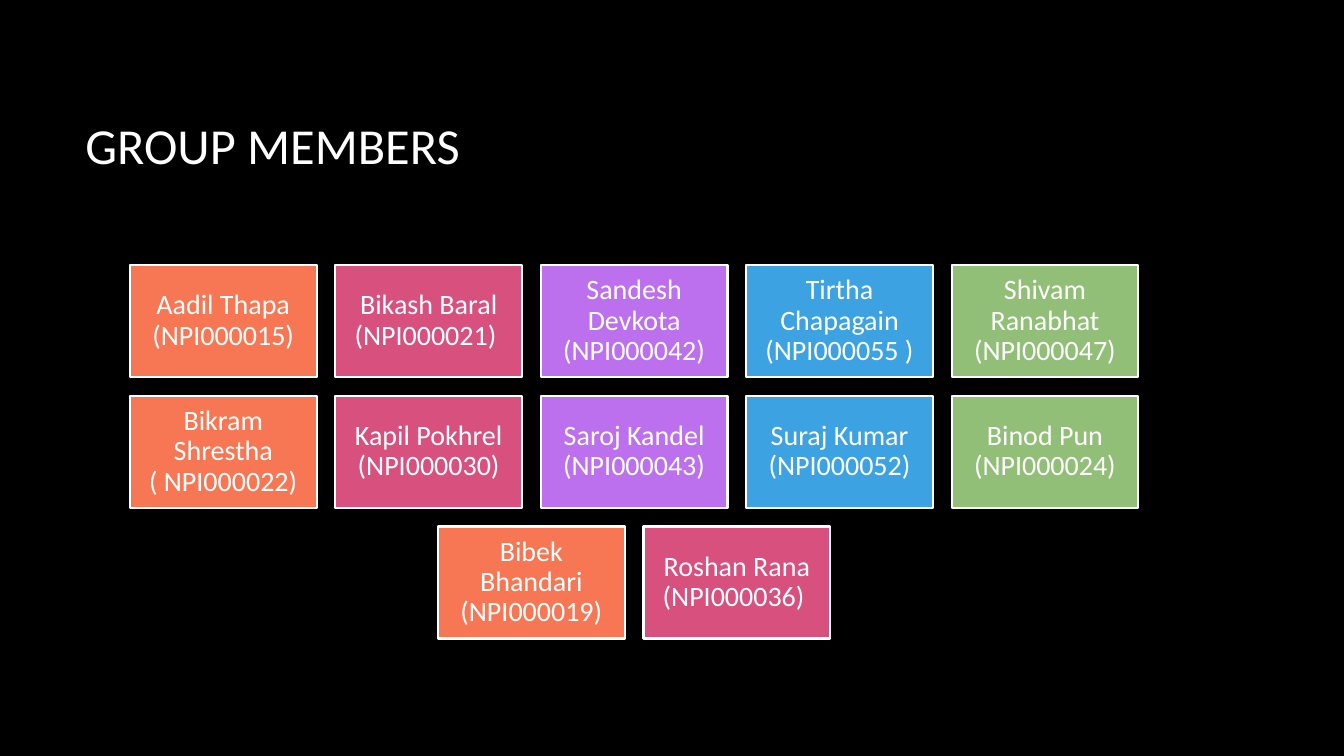
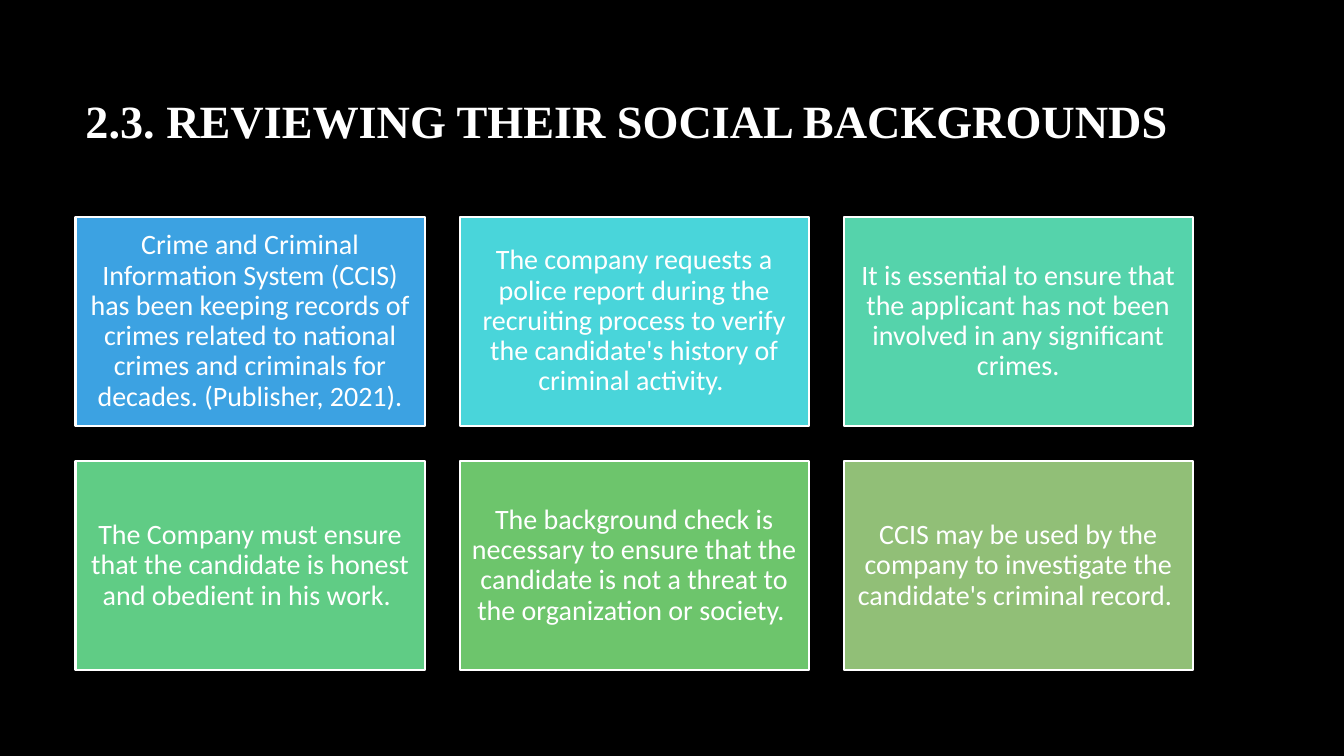
"""Build two slides of coloured card grids under a title on black."""
from pptx import Presentation
from pptx.dml.color import RGBColor
from pptx.enum.shapes import MSO_SHAPE
from pptx.enum.text import MSO_ANCHOR, PP_ALIGN
from pptx.util import Pt

RECTANGLE = MSO_SHAPE.RECTANGLE
MIDDLE = MSO_ANCHOR.MIDDLE
CENTER = PP_ALIGN.CENTER

BLACK, WHITE = "000000", "FFFFFF"
ORANGE, PINK, PURPLE = "F77754", "D8507E", "BC70EE"
BLUE, CYAN, TEAL = "3CA2E2", "49D5DA", "55D3AB"
MINT, GREEN, OLIVE = "60CC85", "6DC56C", "91BF77"
BODY_FONT = "Calibri"
HEADING_FONT = "Times New Roman"

CONTENT_LEFT, CONTENT_WIDTH = 54, 798
TITLE_TOP = 48
GAP_RATIO, HEIGHT_RATIO = 0.1, 0.6

MEMBER_COLORS = [ORANGE, PINK, PURPLE, BLUE, OLIVE]
MEMBERS = [
    "Aadil Thapa (NPI000015)",
    "Bikash Baral (NPI000021) ",
    "Sandesh Devkota (NPI000042)",
    "Tirtha Chapagain (NPI000055 )",
    "Shivam Ranabhat (NPI000047)",
    "Bikram Shrestha ( NPI000022)",
    "Kapil Pokhrel (NPI000030)",
    "Saroj Kandel (NPI000043)",
    "Suraj Kumar (NPI000052)",
    "Binod Pun (NPI000024)",
    "Bibek Bhandari (NPI000019)",
    "Roshan Rana (NPI000036) ",
]
BACKGROUND_COLORS = [BLUE, CYAN, TEAL, MINT, GREEN, OLIVE]
BACKGROUND_CHECKS = [
    "Crime and Criminal Information System (CCIS) has been keeping records of "
    "crimes related to national crimes and criminals for decades. (Publisher, 2021).",
    "The company requests a police report during the recruiting process to verify "
    "the candidate's history of criminal activity. ",
    "It is essential to ensure that the applicant has not been involved in any "
    "significant crimes.",
    "The Company must ensure that the candidate is honest and obedient in his work. ",
    "The background check is necessary to ensure that the candidate is not a threat "
    "to the organization or society. ",
    "CCIS may be used by the company to investigate the candidate's criminal record. ",
]


def color(value):
    """Return the colour for a hex string."""
    return RGBColor.from_string(value)


def write(text_frame, text, size, font_name=BODY_FONT, bold=False):
    """Fill a text frame with one white paragraph, centred vertically."""
    text_frame.text = text
    text_frame.word_wrap = True
    text_frame.vertical_anchor = MIDDLE
    paragraph = text_frame.paragraphs[0]
    paragraph.line_spacing = 0.9
    font = paragraph.runs[0].font
    font.name, font.size, font.bold = font_name, Pt(size), bold
    font.color.rgb = color(WHITE)
    return paragraph


def add_title(slide, text, height, size, font_name=BODY_FONT, bold=False):
    """Add the slide title."""
    box = slide.shapes.add_textbox(
        Pt(CONTENT_LEFT), Pt(TITLE_TOP), Pt(CONTENT_WIDTH), Pt(height))
    write(box.text_frame, text, size, font_name, bold)


def add_card(slide, text, fill, left, top, width, height):
    """Add one filled card with a white outline and centred text."""
    card = slide.shapes.add_shape(RECTANGLE, Pt(left), Pt(top), Pt(width), Pt(height))
    card.shadow.inherit = False
    card.fill.solid()
    card.fill.fore_color.rgb = color(fill)
    card.line.color.rgb = color(WHITE)
    card.line.width = Pt(1.5)
    frame = card.text_frame
    frame.margin_left = frame.margin_right = Pt(6)
    frame.margin_top = frame.margin_bottom = Pt(6)
    write(frame, text, 20).alignment = CENTER


def add_card_grid(slide, texts, fills, columns, top, width):
    """Lay cards out in rows, each row centred on the content area."""
    gap = width * GAP_RATIO
    height = width * HEIGHT_RATIO
    for start in range(0, len(texts), columns):
        row = texts[start:start + columns]
        row_width = len(row) * (width + gap) - gap
        row_left = CONTENT_LEFT + (CONTENT_WIDTH - row_width) / 2
        row_top = top + start // columns * (height + gap)
        for column, text in enumerate(row):
            fill = fills[(start + column) % len(fills)]
            left = row_left + column * (width + gap)
            add_card(slide, text, fill, left, row_top, width, height)


def main():
    """Build and save the presentation."""
    presentation = Presentation()
    presentation.slide_width, presentation.slide_height = Pt(960), Pt(540)
    background = presentation.slide_master.background.fill
    background.solid()
    background.fore_color.rgb = color(BLACK)
    blank = presentation.slide_layouts[6]

    slide = presentation.slides.add_slide(blank)
    add_title(slide, "GROUP MEMBERS", 115, 36)
    add_card_grid(slide, MEMBERS, MEMBER_COLORS, 5, 189.3, 133.4)

    slide = presentation.slides.add_slide(blank)
    add_title(slide, "2.3. REVIEWING THEIR SOCIAL BACKGROUNDS", 80, 33, HEADING_FONT, True)
    add_card_grid(slide, BACKGROUND_CHECKS, BACKGROUND_COLORS, 3, 154.7, 249.4)

    presentation.save("out.pptx")


if __name__ == "__main__":
    main()
